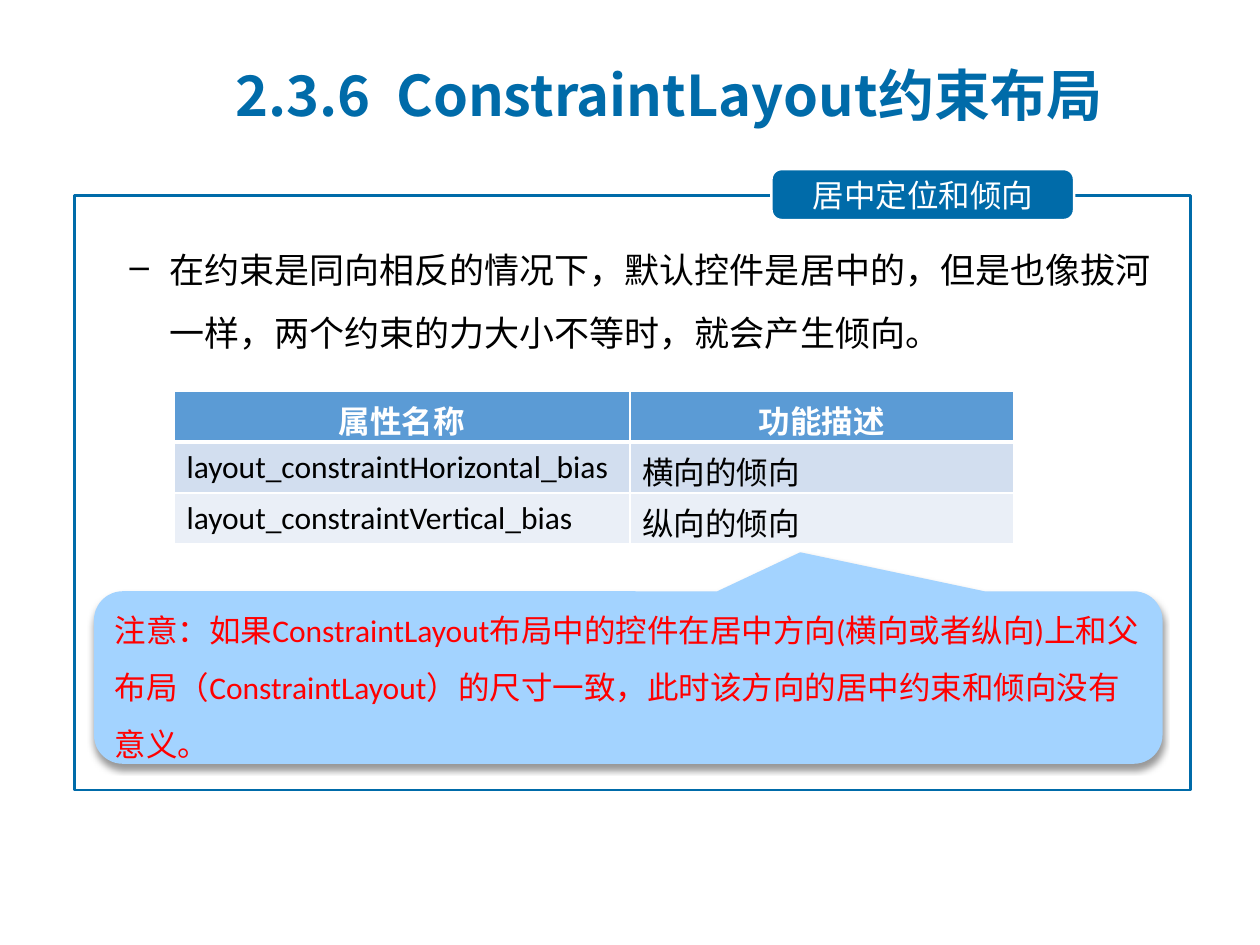
import pptx
import pptx.dml.color
import pptx.enum.shapes
import pptx.enum.text
import pptx.oxml
import pptx.oxml.ns
import pptx.util
import lxml.etree

Pt = pptx.util.Pt
RGBColor = pptx.dml.color.RGBColor
MSO_SHAPE = pptx.enum.shapes.MSO_SHAPE
MSO_ANCHOR = pptx.enum.text.MSO_ANCHOR
PP_ALIGN = pptx.enum.text.PP_ALIGN
qn = pptx.oxml.ns.qn

THEME = {
    "blue": "006BA9", "white": "FFFFFF", "black": "000000", "red": "FF0000",
    "callout": "A3D3FF", "rows": ["5B9BD5", "D2DEEF", "EAEFF7"],
    "title_size": 32, "body_size": 20, "small_size": 18,
    "latin": "Calibri", "chinese": "Noto Sans CJK SC",
}


def write(text_frame, text, size, color, latin, bold=False, align=PP_ALIGN.LEFT):
    text_frame.text = text
    text_frame.word_wrap = True
    paragraph = text_frame.paragraphs[0]
    paragraph.alignment = align
    font = paragraph.runs[0].font
    font.size = Pt(size)
    font.bold = bold
    font.name = latin
    font.color.rgb = RGBColor.from_string(color)
    east_asian = lxml.etree.Element(qn("a:ea"), typeface=THEME["chinese"])
    paragraph.runs[0]._r.rPr.find(qn("a:latin")).addnext(east_asian)
    return paragraph


def add_border(cell, side, width):
    border = lxml.etree.SubElement(cell._tc.get_or_add_tcPr(), qn("a:" + side), w=str(Pt(width)))
    fill = lxml.etree.SubElement(border, qn("a:solidFill"))
    lxml.etree.SubElement(fill, qn("a:srgbClr"), val=THEME["white"])


presentation = pptx.Presentation()
presentation.slide_width = Pt(720)
presentation.slide_height = Pt(540)
slide = presentation.slides.add_slide(presentation.slide_layouts[6])
shapes = slide.shapes

frame = shapes.add_shape(MSO_SHAPE.RECTANGLE, Pt(42.5), Pt(111.6), Pt(638), Pt(339.9))
frame.shadow.inherit = False
frame.fill.background()
frame.line.color.rgb = RGBColor.from_string(THEME["blue"])
frame.line.width = Pt(1.5)

label = shapes.add_shape(MSO_SHAPE.ROUNDED_RECTANGLE, Pt(440.8), Pt(96.6), Pt(173), Pt(29.2))
label.adjustments[0] = 0.2
label.shadow.inherit = False
label.fill.solid()
label.fill.fore_color.rgb = RGBColor.from_string(THEME["blue"])
label.line.color.rgb = RGBColor.from_string(THEME["white"])
label.line.width = Pt(1.5)
label.text_frame.vertical_anchor = MSO_ANCHOR.MIDDLE
label.text_frame.margin_top = label.text_frame.margin_bottom = Pt(4)
write(label.text_frame, "居中定位和倾向", THEME["small_size"], THEME["white"],
      THEME["chinese"], align=PP_ALIGN.CENTER)

body = shapes.add_textbox(Pt(31), Pt(126.7), Pt(635.8), Pt(247.7))
paragraph = write(
    body.text_frame,
    "在约束是同向相反的情况下，默认控件是居中的，但是也像拔河一样，两个约束的力大小不等时，就会产生倾向。",
    THEME["body_size"], THEME["black"], THEME["latin"])
paragraph.line_spacing = 1.5
paragraph.space_before = Pt(4)
properties = paragraph._p.get_or_add_pPr()
properties.set("marL", str(Pt(58.5)))
properties.set("indent", str(Pt(-22.5)))
lxml.etree.SubElement(properties, qn("a:buChar"), char="–")

title = shapes.add_textbox(Pt(127.4), Pt(31.7), Pt(555.8), Pt(43.9))
title.text_frame.vertical_anchor = MSO_ANCHOR.MIDDLE
paragraph = write(title.text_frame, "2.3.6  ConstraintLayout约束布局", THEME["title_size"],
                  THEME["blue"], THEME["chinese"], bold=True)
properties = paragraph._p.get_or_add_pPr()
properties.set("marL", str(Pt(45)))
properties.set("indent", str(Pt(-45)))

table_rows = [
    ("属性名称", "功能描述"),
    ("layout_constraintHorizontal_bias", "横向的倾向"),
    ("layout_constraintVertical_bias", "纵向的倾向"),
]
table = shapes.add_table(3, 2, Pt(99.4), Pt(223.4), Pt(480), Pt(87.6)).table
for column, width in zip(table.columns, (260.5, 219.5)):
    column.width = Pt(width)
for row_index, row_texts in enumerate(table_rows):
    table.rows[row_index].height = Pt(29.2)
    header = row_index == 0
    for column_index, text in enumerate(row_texts):
        cell = table.cell(row_index, column_index)
        cell.margin_bottom = 0
        write(cell.text_frame, text, THEME["small_size"],
              THEME["white"] if header else THEME["black"], THEME["latin"], bold=header,
              align=PP_ALIGN.CENTER if header else PP_ALIGN.LEFT)
        for side in ("lnL", "lnR", "lnT", "lnB"):
            thick = (header and side == "lnB") or (row_index == 1 and side == "lnT")
            add_border(cell, side, 3 if thick else 1)
        cell.fill.solid()
        cell.fill.fore_color.rgb = RGBColor.from_string(THEME["rows"][row_index])

callout = shapes.add_shape(MSO_SHAPE.ROUNDED_RECTANGULAR_CALLOUT,
                           Pt(53.7), Pt(337.9), Pt(610.6), Pt(98.6))
for index, value in enumerate((0.161, -0.726, 0.167)):
    callout.adjustments[index] = value
callout.fill.solid()
callout.fill.fore_color.rgb = RGBColor.from_string(THEME["callout"])
callout.line.fill.background()
callout.shadow.inherit = False
shadow = lxml.etree.SubElement(
    callout._element.spPr.find(qn("a:effectLst")), qn("a:outerShdw"),
    blurRad=str(Pt(4)), dist=str(Pt(3)), dir="5400000", rotWithShape="0")
shadow_color = lxml.etree.SubElement(shadow, qn("a:srgbClr"), val=THEME["black"])
lxml.etree.SubElement(shadow_color, qn("a:alpha"), val="40000")
callout.text_frame.vertical_anchor = MSO_ANCHOR.MIDDLE
paragraph = write(
    callout.text_frame,
    "注意：如果ConstraintLayout布局中的控件在居中方向(横向或者纵向)上和父布局（ConstraintLayout）"
    "的尺寸一致，此时该方向的居中约束和倾向没有意义。",
    THEME["small_size"], THEME["red"], THEME["latin"])
paragraph.line_spacing = 1.5

presentation.save("out.pptx")
